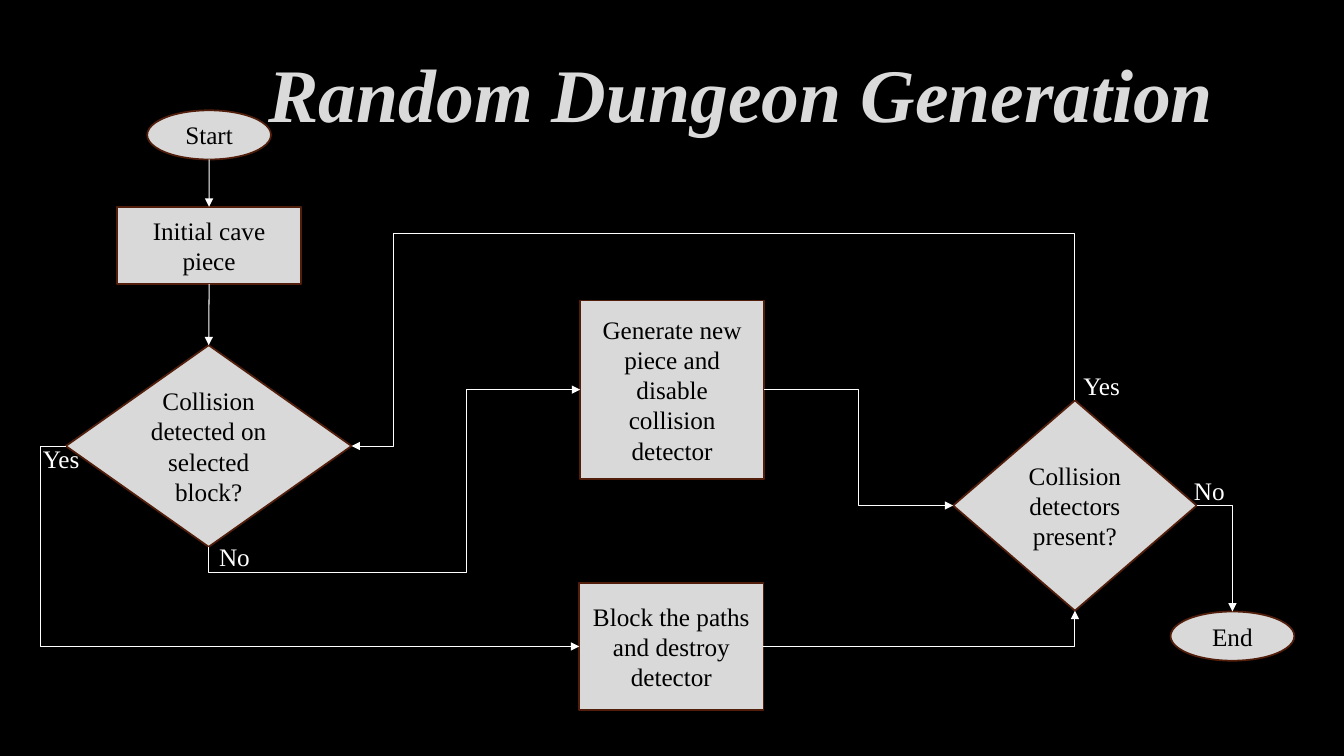
from pptx import Presentation
from pptx.dml.color import RGBColor
from pptx.enum.shapes import MSO_CONNECTOR, MSO_SHAPE
from pptx.enum.text import MSO_ANCHOR, PP_ALIGN
from pptx.oxml.ns import qn
from pptx.util import Cm, Pt
from lxml import etree

OVAL, BOX = MSO_SHAPE.OVAL, MSO_SHAPE.RECTANGLE
DECISION = MSO_SHAPE.FLOWCHART_DECISION
STRAIGHT, ELBOW = MSO_CONNECTOR.STRAIGHT, MSO_CONNECTOR.ELBOW
CENTER, LEFT_ALIGN, MIDDLE, TOP_ANCHOR = PP_ALIGN.CENTER, PP_ALIGN.LEFT, MSO_ANCHOR.MIDDLE, MSO_ANCHOR.TOP
TOP, LEFT, BOTTOM, RIGHT = range(4)

FONT = "Times New Roman"
COLORS = {"background": "000000", "title": "DADADA", "step": "D9D9D9",
          "border": "521E0C", "step text": "000000", "flow": "FFFFFF"}

TITLE = ("Random Dungeon Generation", (4.3, 0.99, 28.75, 2.69))
STEPS = {
    "start": (OVAL, "Start", (3.71, 2.78, 3.12, 1.24)),
    "initial": (BOX, "Initial cave piece", (2.95, 5.21, 4.64, 1.95)),
    "collision": (DECISION, "Collision detected on selected block?", (1.66, 8.7, 7.2, 5.08)),
    "block": (BOX, "Block the paths and destroy detector", (14.6, 14.69, 4.64, 3.2)),
    "generate": (BOX, "Generate new piece and disable collision detector", (14.62, 7.57, 4.64, 4.5)),
    "detectors": (DECISION, "Collision detectors present?", (24.02, 10.09, 6.14, 5.3)),
    "end": (OVAL, "End", (29.5, 15.41, 3.12, 1.24)),
}
ARROWS = [
    ("start", BOTTOM, "initial", TOP, None),
    ("initial", BOTTOM, "collision", TOP, None),
    ("collision", LEFT, "block", LEFT, [1.02]),
    ("collision", BOTTOM, "generate", LEFT, [14.42, 11.75]),
    ("generate", RIGHT, "detectors", LEFT, [21.64]),
    ("block", RIGHT, "detectors", BOTTOM, []),
    ("detectors", TOP, "collision", RIGHT, [5.89, 9.91]),
    ("detectors", RIGHT, "end", TOP, []),
]
ANSWER_SIZE = (1.7, 1.02)
ANSWERS = [("No", (5.27, 13.51)), ("Yes", (0.83, 11.05)),
           ("Yes", (27.05, 9.2)), ("No", (29.84, 11.86))]


def color(name):
    return RGBColor.from_string(COLORS[name])


def lengths(values):
    return [Cm(value) for value in values]


def write(shape, text, size, color_name, align=CENTER, anchor=MIDDLE):
    frame = shape.text_frame
    frame.word_wrap = True
    frame.vertical_anchor = anchor
    frame.text = text
    paragraph = frame.paragraphs[0]
    paragraph.alignment = align
    font = paragraph.runs[0].font
    font.name, font.size = FONT, Pt(size)
    font.color.rgb = color(color_name)
    return font


def side_point(step, side):
    left, top, width, height = STEPS[step][2]
    return [(left + width / 2, top), (left, top + height / 2),
            (left + width / 2, top + height), (left + width, top + height / 2)][side]


def bend(connector, begin, end, vertical, lanes):
    dx, dy = end[0] - begin[0], end[1] - begin[1]
    along, across = (dy, -dx) if vertical else (dx, dy)
    width, height = abs(along), abs(across)
    connector.left = Cm((begin[0] + end[0] - width) / 2)
    connector.top = Cm((begin[1] + end[1] - height) / 2)
    connector.width, connector.height = Cm(width), Cm(height)
    properties = connector._element.spPr
    transform = properties.find(qn("a:xfrm"))
    transform.set("rot", "5400000" if vertical else "0")
    transform.set("flipH", str(int(along < 0)))
    transform.set("flipV", str(int(across < 0)))
    geometry = properties.find(qn("a:prstGeom"))
    geometry.set("prst", f"bentConnector{len(lanes) + 2}")
    guides = geometry.find(qn("a:avLst"))
    for index, lane in enumerate(lanes):
        axis = (index + vertical) % 2
        ratio = (lane - begin[axis]) / (end[axis] - begin[axis])
        etree.SubElement(guides, qn("a:gd"), name=f"adj{index + 1}",
                         fmla=f"val {round(ratio * 100000)}")


def draw_arrow(slide, shapes, source, source_side, target, target_side, lanes):
    begin, end = side_point(source, source_side), side_point(target, target_side)
    connector = slide.shapes.add_connector(STRAIGHT if lanes is None else ELBOW,
                                           *lengths(begin + end))
    if STEPS[source][0] != OVAL:
        connector.begin_connect(shapes[source], source_side)
    connector.end_connect(shapes[target], target_side)
    if lanes is not None:
        bend(connector, begin, end, source_side in (TOP, BOTTOM), lanes)
    connector.line.color.rgb = color("flow")
    connector.line.width = Pt(0.75)
    etree.SubElement(connector.line._get_or_add_ln(), qn("a:tailEnd"), type="triangle")
    etree.SubElement(connector._element.spPr, qn("a:effectLst"))


def main():
    deck = Presentation()
    deck.slide_width, deck.slide_height = Cm(33.87), Cm(19.05)
    slide = deck.slides.add_slide(deck.slide_layouts[6])
    slide.background.fill.solid()
    slide.background.fill.fore_color.rgb = color("background")

    title, place = TITLE
    title_font = write(slide.shapes.add_textbox(*lengths(place)), title, 54, "title")
    title_font.bold = title_font.italic = True

    shapes = {}
    for step, (kind, text, place) in STEPS.items():
        shape = shapes[step] = slide.shapes.add_shape(kind, *lengths(place))
        shape.shadow.inherit = False
        shape.fill.solid()
        shape.fill.fore_color.rgb = color("step")
        shape.line.color.rgb = color("border")
        shape.line.width = Pt(1.25)
        write(shape, text, 18, "step text")

    for arrow in ARROWS:
        draw_arrow(slide, shapes, *arrow)

    for answer, corner in ANSWERS:
        label = slide.shapes.add_textbox(*lengths(corner + ANSWER_SIZE))
        write(label, answer, 18, "flow", LEFT_ALIGN, TOP_ANCHOR)

    deck.save("out.pptx")


if __name__ == "__main__":
    main()
